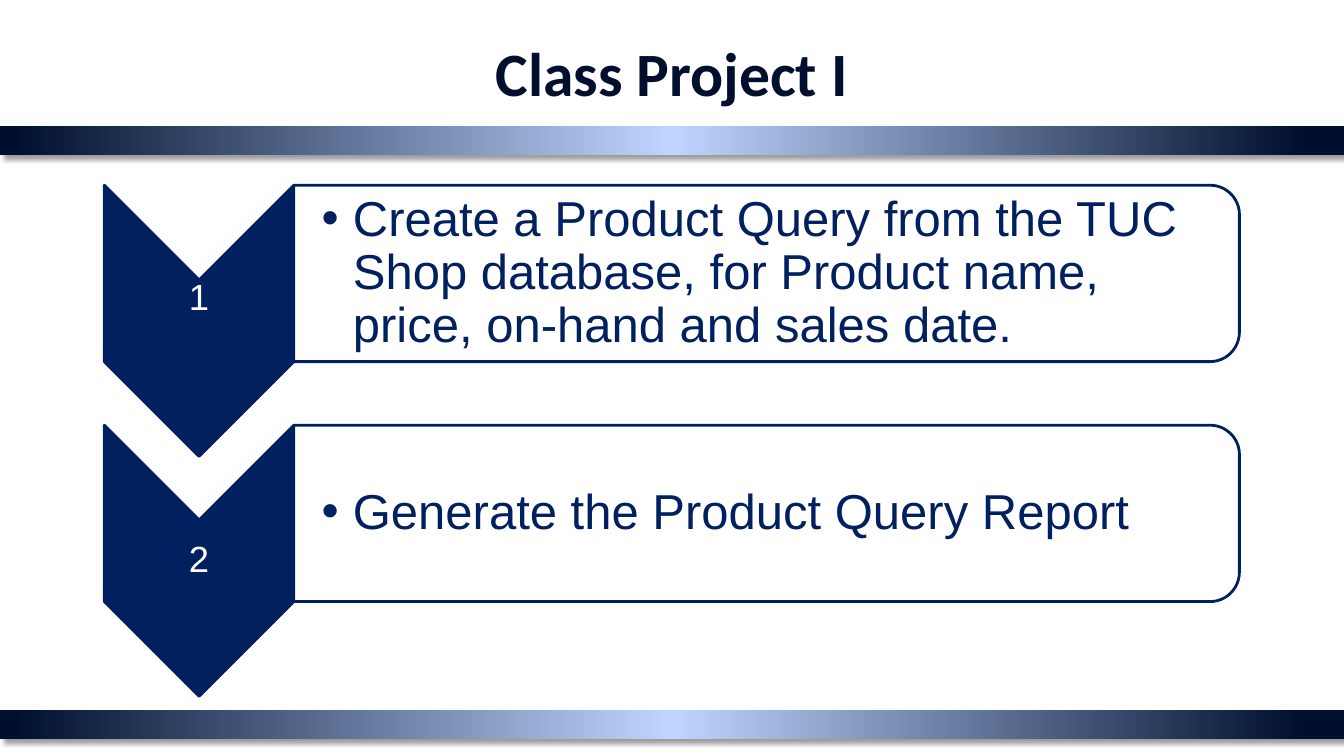
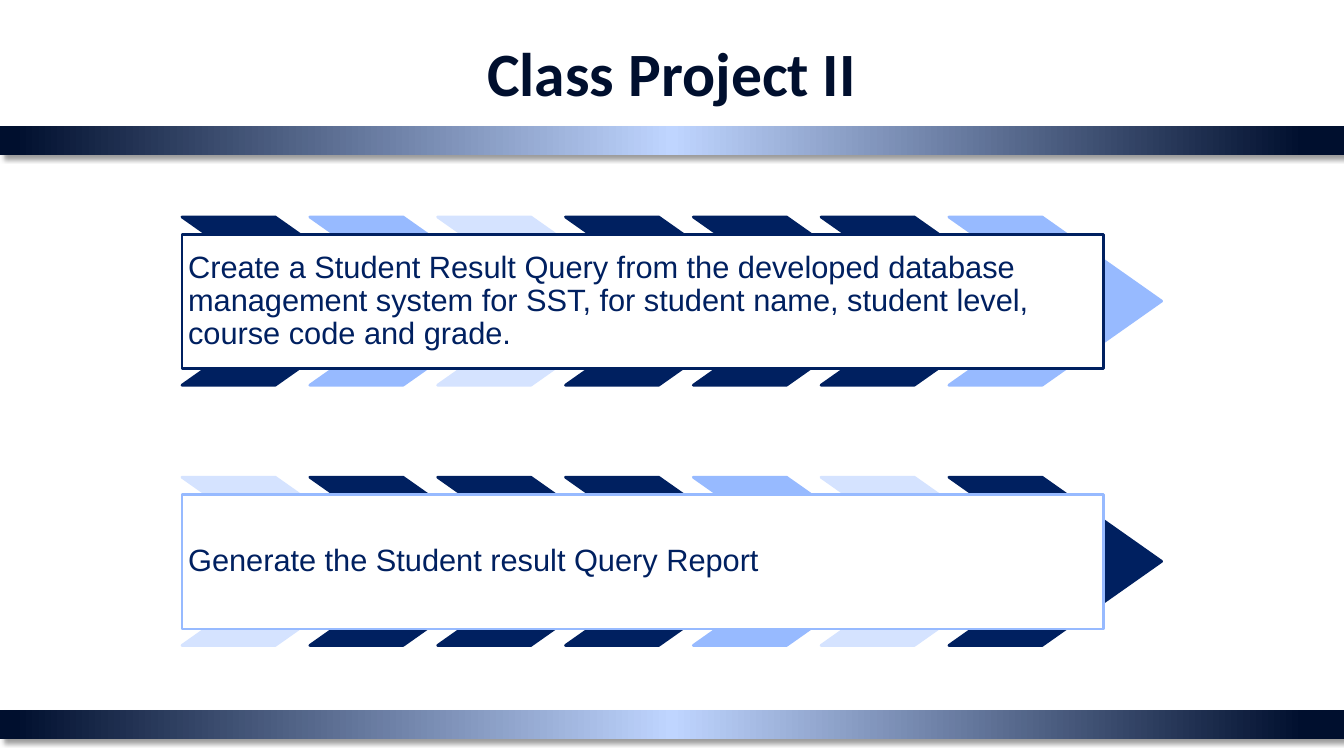
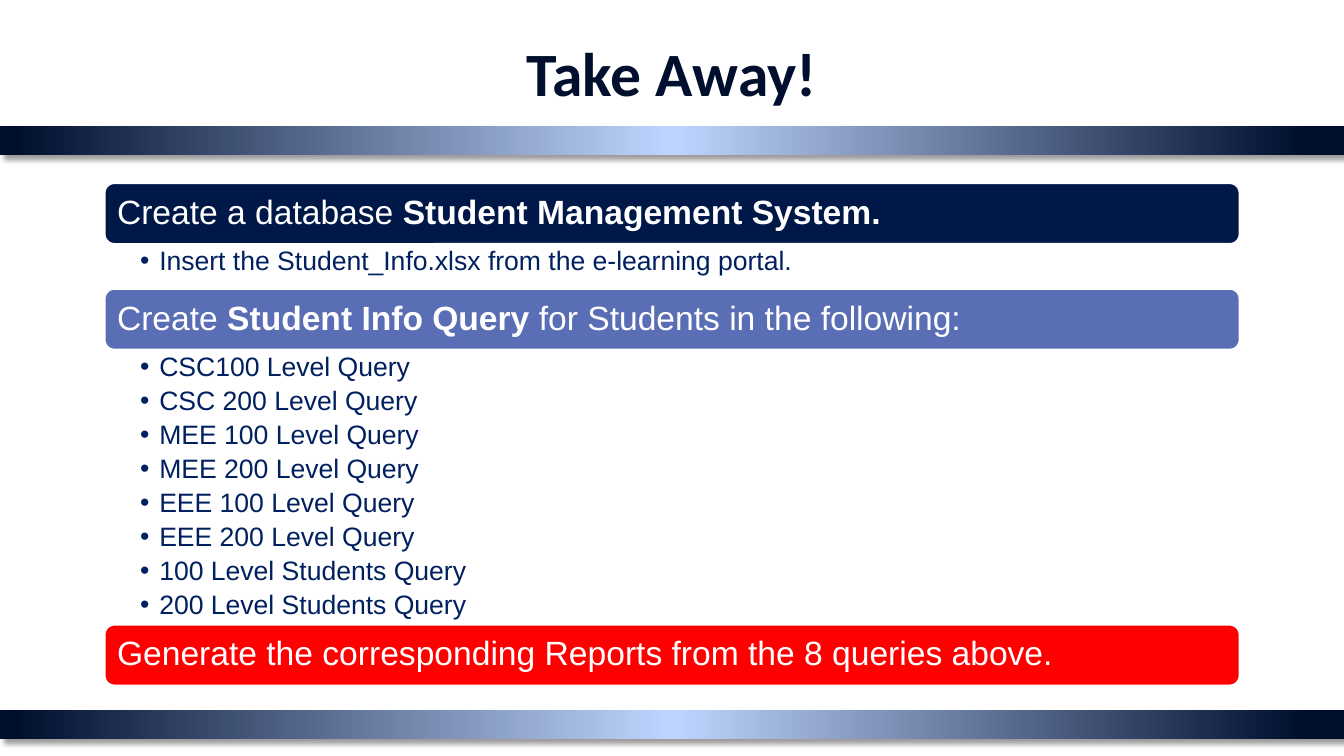
from dataclasses import dataclass
from itertools import cycle

from lxml.etree import SubElement
from pptx import Presentation
from pptx.dml.color import RGBColor as Rgb
from pptx.enum.shapes import MSO_SHAPE as Kind
from pptx.enum.text import MSO_ANCHOR as Anchor, PP_ALIGN as Align
from pptx.oxml.ns import qn
from pptx.util import Pt


@dataclass(frozen=True)
class Theme:
    """Colours, fonts and type sizes of the deck."""
    ink: Rgb = Rgb.from_string("000F2E")
    glow: Rgb = Rgb.from_string("BFD5FF")
    navy: Rgb = Rgb.from_string("002060")
    blue: Rgb = Rgb.from_string("97BAFF")
    pale: Rgb = Rgb.from_string("D5E3FF")
    deep: Rgb = Rgb.from_string("001847")
    iris: Rgb = Rgb.from_string("5A6EB6")
    red: Rgb = Rgb.from_string("FF0000")
    white: Rgb = Rgb.from_string("FFFFFF")
    black: Rgb = Rgb.from_string("000000")
    head: str = "Calibri"
    body: str = "Arial"
    title: int = 44
    step: int = 35
    mark: int = 26
    bar: int = 24
    note: int = 22
    item: int = 19


T = Theme()


def node(top, tag, **attrs):
    """Append an XML child with the given attributes."""
    return SubElement(top, qn(tag), {k: str(v) for k, v in attrs.items()})


def form(obj, fmt):
    """Set each attribute named in a dict of format values."""
    for key, val in fmt.items():
        setattr(obj, key, val)


def shape(slide, kind, box, fill, line=None):
    """Add a flat preset shape."""
    item = slide.shapes.add_shape(kind, *map(Pt, box))
    item.shadow.inherit = False
    item.fill.solid()
    item.fill.fore_color.rgb = fill
    if line is None:
        item.line.fill.background()
    else:
        item.line.color.rgb = line
        item.line.width = Pt(2)
    return item


def turn(slide, kind, box, fill, line):
    """Add a shape turned a quarter right that covers the given box."""
    x, y, w, h = box
    flat = (x + (w - h) / 2, y + (h - w) / 2, h, w)
    shape(slide, kind, flat, fill, line).rotation = 90


def write(item, lines, size, color, pads, font=T.body, align=Align.LEFT,
          anchor=Anchor.MIDDLE, lead=0.9, after=0, hang=0):
    """Fill a shape with paragraphs; text between asterisks is bold."""
    frame = item.text_frame
    left, top, right, base = map(Pt, pads)
    form(frame, dict(word_wrap=True, vertical_anchor=anchor, margin_left=left,
                     margin_top=top, margin_right=right, margin_bottom=base))
    for i, line in enumerate(lines):
        para = frame.add_paragraph() if i else frame.paragraphs[0]
        form(para, dict(alignment=align, line_spacing=lead,
                        space_after=Pt(after)))
        if hang:
            props = para._p.get_or_add_pPr()
            props.set("marL", str(Pt(hang)))
            props.set("indent", str(-Pt(hang)))
            node(props, "a:buFont", typeface=T.body)
            node(props, "a:buChar", char="•")
        for j, part in enumerate(line.split("*")):
            if part:
                run = para.add_run()
                run.text = part
                form(run.font, dict(name=font, size=Pt(size), bold=j % 2 == 1))
                run.font.color.rgb = color


def label(slide, box, *args, **opts):
    """Add a text box."""
    write(slide.shapes.add_textbox(*map(Pt, box)), *args, **opts)


def band(slide, y):
    """Add a full-width gradient band with a soft shadow."""
    item = shape(slide, Kind.RECTANGLE, (0, y, 960, 20.9), T.ink)
    item.fill.gradient()
    item.fill.gradient_angle = 180
    props = item._element.spPr
    stops = props.find(".//" + qn("a:gsLst"))
    stops.clear()
    for pos, color in ((0, T.ink), (3, T.ink), (50, T.glow), (99, T.ink),
                       (100, T.ink)):
        node(node(stops, "a:gs", pos=pos * 1000), "a:srgbClr", val=color)
    cast = node(props.find(qn("a:effectLst")), "a:outerShdw", blurRad=Pt(4),
                dist=Pt(3), dir=45 * 60000, algn="tl", rotWithShape=0)
    node(node(cast, "a:srgbClr", val=T.black), "a:alpha", val=40000)


def page(deck, title):
    """Add a slide with its bands and title."""
    slide = deck.slides.add_slide(deck.slide_layouts[6])
    for y in (507.3, 90):
        band(slide, y)
    label(slide, (48, 6.4, 864, 90), [f"*{title}*"], T.title, T.ink,
          (7.2, 3.6, 7.2, 3.6), font=T.head, align=Align.CENTER, lead=1.0)
    return slide


def steps(slide, rows):
    """Stack numbered down chevrons, each with a rounded panel."""
    x, wide = 74.5, 135.4
    pad = 1.4
    for i, (text, lift) in enumerate(rows):
        y = 132.3 + i * 171.4
        turn(slide, Kind.CHEVRON, (x, y, wide, 193.7), T.navy, T.navy)
        label(slide, (x, y + 67.9 - lift, wide, 58.3), [str(i + 1)], T.mark,
              T.white, (pad,) * 4, align=Align.CENTER)
        turn(slide, Kind.ROUND_2_SAME_RECTANGLE, (x + wide, y, 675.4, 126),
             T.white, T.navy)
        label(slide, (x + wide + 0.5, y + 6, 669.6, 113.8), [text], T.step,
              T.navy, (19.4, pad, pad, pad), hang=22.3)


def trails(slide, rows):
    """Stack framed notes, each over a row of seven chevrons."""
    tints = cycle((T.navy, T.blue, T.pale, T.navy, T.navy))
    x = 130
    for i, (text, edge) in enumerate(rows):
        y = 155 + i * 185.9
        for j in range(7):
            tint = next(tints)
            arrow = shape(slide, Kind.CHEVRON, (x + j * 91.3, y, 151.9, 120.2),
                          tint, tint)
            arrow.adjustments[0] = 0.71
        note = shape(slide, Kind.RECTANGLE, (x, y + 12.3, 658.2, 96.2),
                     T.white, edge)
        write(note, [text], T.note, T.navy, (4.4,) * 4)


def bars(slide, parts):
    """Stack coloured heading bars with bullet lists under them."""
    x, y, wide, high = 74.4, 130.5, 811.4, 44.1
    for text, fill, items, room in parts:
        bar = shape(slide, Kind.ROUNDED_RECTANGLE, (x, y, wide, high), fill,
                    T.white)
        write(bar, [text], T.bar, T.white, (7.2,) * 4)
        y += high
        if items:
            label(slide, (x, y, wide, room), items, T.item, T.navy,
                  (25.7, 2.2, 13.7, 2.2), anchor=Anchor.TOP, after=3.8,
                  hang=13.7)
        y += room


def main():
    """Build the deck and save it."""
    deck = Presentation()
    form(deck, dict(slide_width=Pt(960), slide_height=Pt(540)))
    steps(page(deck, "Class Project I"), (
        ("Create a Product Query from the TUC Shop database, for Product "
         "name, price, on-hand and sales date.", 15.7),
        ("Generate the Product Query Report", 0)))
    trails(page(deck, "Class Project II"), (
        ("Create a Student Result Query from the developed database "
         "management system for SST, for student name, student level, "
         "course code and grade.", T.navy),
        ("Generate the Student result Query Report", T.blue)))
    levels = ["CSC100 Level Query", "CSC 200 Level Query",
              "MEE 100 Level Query", "MEE 200 Level Query",
              "EEE 100 Level Query", "EEE 200 Level Query",
              "100 Level Students Query", "200 Level Students Query"]
    bars(page(deck, "Take Away!"), (
        ("Create a database *Student Management System.*", T.deep,
         ["Insert the Student_Info.xlsx from the e-learning portal."], 31.4),
        ("Create *Student Info Query* for Students in the following:", T.iris,
         levels, 195.8),
        ("Generate the corresponding Reports from the 8 queries above.", T.red,
         [], 0)))
    deck.save("out.pptx")


if __name__ == "__main__":
    main()
